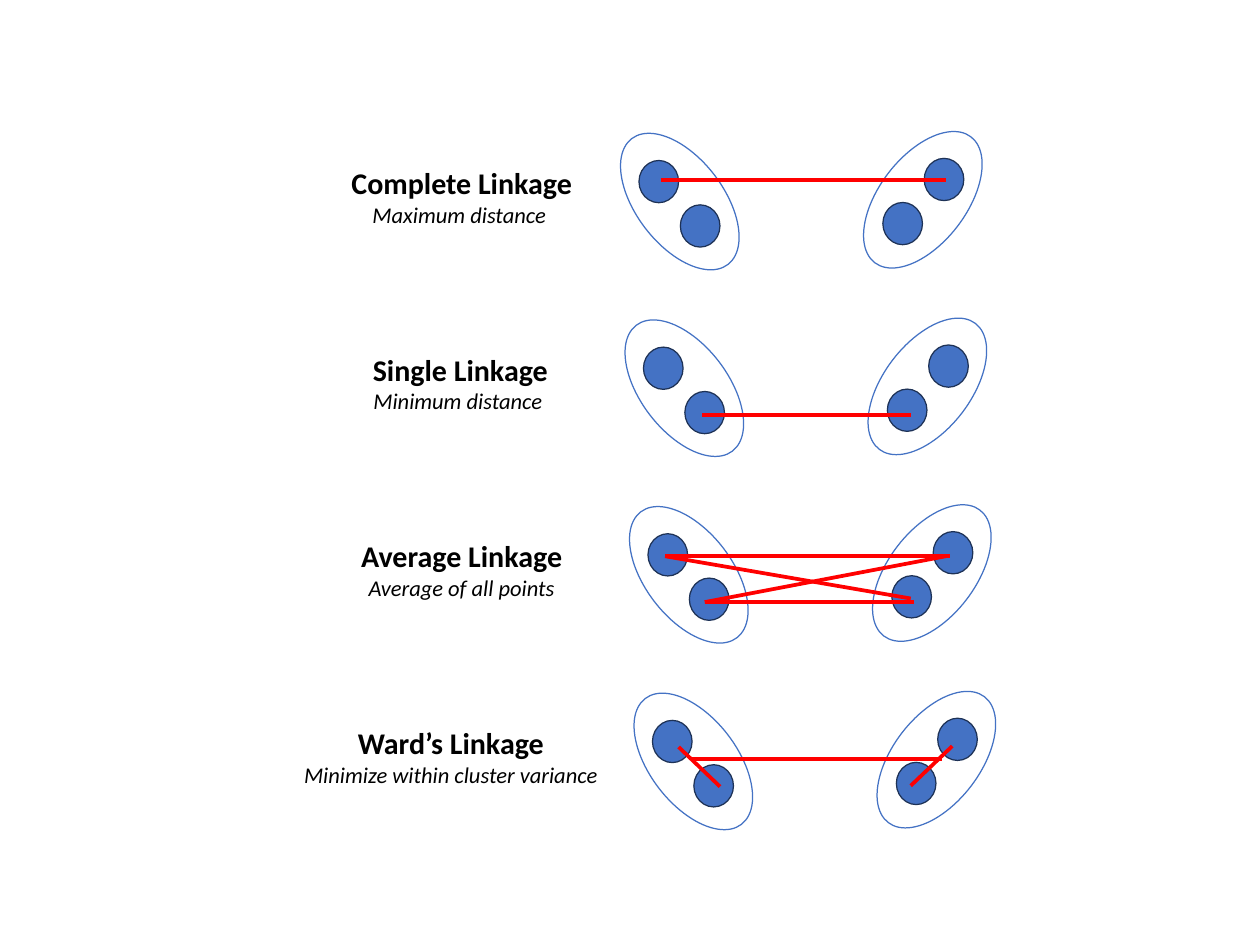
from lxml import etree
from pptx import Presentation
from pptx.dml.color import RGBColor
from pptx.enum.shapes import MSO_CONNECTOR, MSO_SHAPE
from pptx.enum.text import MSO_AUTO_SIZE, PP_ALIGN
from pptx.oxml.ns import qn
from pptx.util import Pt

OVAL = MSO_SHAPE.OVAL
STRAIGHT = MSO_CONNECTOR.STRAIGHT
CENTER = PP_ALIGN.CENTER
FIT_SHAPE = MSO_AUTO_SIZE.SHAPE_TO_FIT_TEXT

BLUE, NAVY, RED, BLACK = "4472C4", "1E3256", "FF0000", "000000"

# Content: title, subtitle, label left and width, links (x1, y1, x2, y2)
METHODS = [
    ("Complete Linkage", "Maximum distance ", 272.9, 193,
     [(528.5, 144, 756.7, 144)]),
    ("Single Linkage", "Minimum distance ", 288.7, 159.1,
     [(561.6, 331.9, 728.6, 331.9)]),
    ("Average Linkage", "Average of all points", 280.8, 177.1,
     [(532.1, 445, 760.3, 445), (563.8, 481.7, 731.5, 481.7),
      (532.1, 445, 728.6, 478.8), (563.8, 481.7, 756.7, 445)]),
    ("Ward’s Linkage", "Minimize within cluster variance", 234.7, 252,
     [(553, 607, 753.8, 607), (542.9, 597.6, 576, 629.3),
      (761.8, 596.9, 728.6, 628.6)]),
]

# First-row clusters: outline position, rotation, dot positions
CLUSTERS = [
    ((703.4, 96.5), 37.4, [(739.4, 126.7), (706.3, 162)]),
    ((509, 97.9), -37.4, [(511.2, 128.4), (544.3, 163.9)]),
]
OUTLINE_SIZE = (69.8, 126.7)
DOT_SIZE = (31.7, 33.8)
ROW_STEP = (3.6, 149.3)
LABEL_TOP, LABEL_HEIGHT = 128.2, 58.2


def color(value):
    return RGBColor.from_string(value)


def add_oval(shapes, position, size, line, fill=None):
    shape = shapes.add_shape(OVAL, *map(Pt, position + size))
    shape.shadow.inherit = False
    if fill:
        shape.fill.solid()
        shape.fill.fore_color.rgb = color(fill)
    else:
        shape.fill.background()
    shape.line.color.rgb = color(line)
    shape.line.width = Pt(1)
    return shape


def add_cluster(slide, row, position, rotation, dots):
    def shifted(point):
        return tuple(value + row * step for value, step in zip(point, ROW_STEP))

    group = slide.shapes.add_group_shape()
    outline = add_oval(group.shapes, shifted(position), OUTLINE_SIZE, BLUE)
    outline.rotation = rotation
    for dot in dots:
        add_oval(group.shapes, shifted(dot), DOT_SIZE, NAVY, BLUE)


def add_link(slide, ends):
    link = slide.shapes.add_connector(STRAIGHT, *map(Pt, ends))
    link.line.color.rgb = color(RED)
    link.line.width = Pt(3)
    etree.SubElement(link._element.spPr, qn("a:effectLst"))


def add_label(slide, row, title, subtitle, left, width):
    top = LABEL_TOP + row * ROW_STEP[1]
    label = slide.shapes.add_textbox(Pt(left), Pt(top), Pt(width), Pt(LABEL_HEIGHT))
    frame = label.text_frame
    frame.word_wrap = False
    frame.auto_size = FIT_SHAPE
    frame.text = f"{title}\n{subtitle}"
    for paragraph, size, is_title in zip(frame.paragraphs, (24, 18), (True, False)):
        paragraph.alignment = CENTER
        font = paragraph.runs[0].font
        font.name = "Calibri"
        font.size = Pt(size)
        font.bold = is_title
        font.italic = not is_title
        font.color.rgb = color(BLACK)


presentation = Presentation()
presentation.slide_width = Pt(1008)
presentation.slide_height = Pt(756)
slide = presentation.slides.add_slide(presentation.slide_layouts[6])

# Clusters lie behind the links
for cluster in CLUSTERS:
    for row in range(len(METHODS)):
        add_cluster(slide, row, *cluster)

# Links and labels
for row, (title, subtitle, left, width, links) in enumerate(METHODS):
    for ends in links:
        add_link(slide, ends)
    add_label(slide, row, title, subtitle, left, width)

presentation.save("out.pptx")
